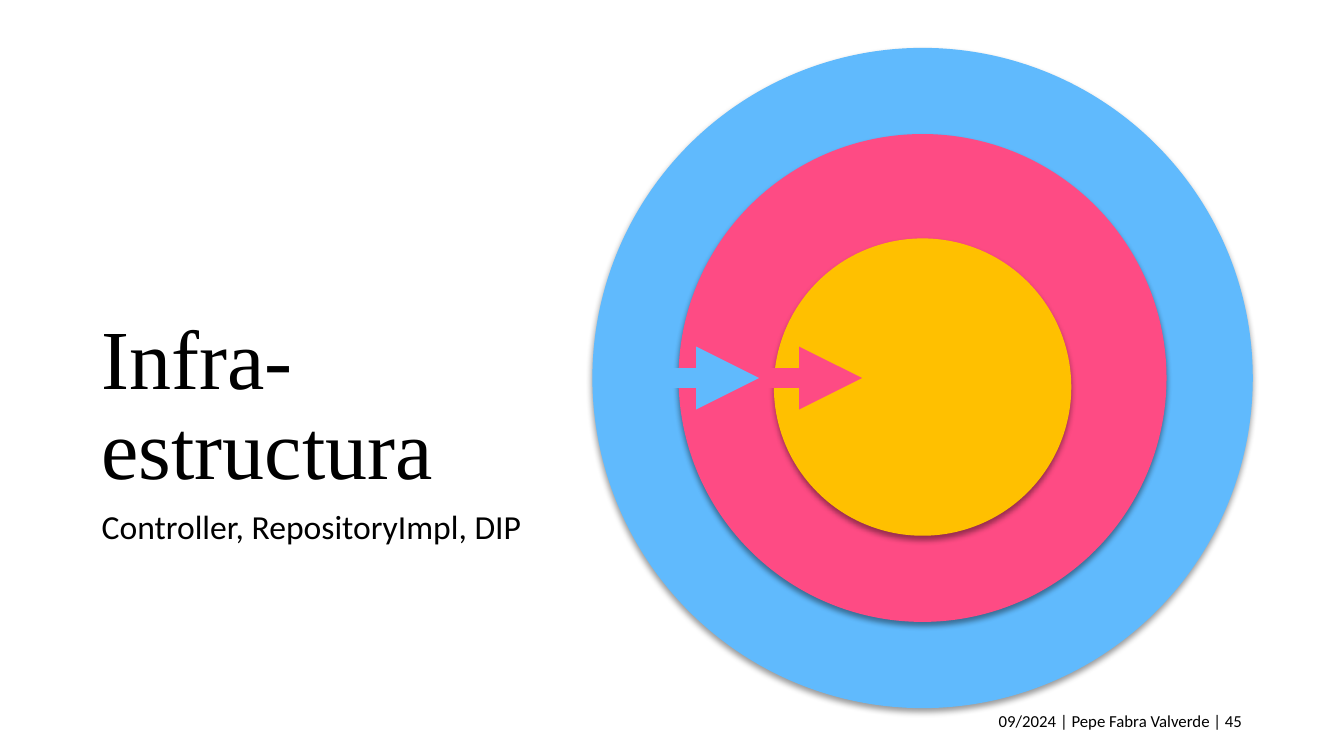
from dataclasses import dataclass

from lxml import etree
from pptx import Presentation
from pptx.dml.color import RGBColor
from pptx.enum.shapes import MSO_CONNECTOR, MSO_SHAPE
from pptx.enum.text import MSO_ANCHOR, PP_ALIGN
from pptx.oxml.ns import qn
from pptx.util import Inches, Pt

OVAL = MSO_SHAPE.OVAL
STRAIGHT = MSO_CONNECTOR.STRAIGHT
TOP, MIDDLE, BOTTOM = MSO_ANCHOR.TOP, MSO_ANCHOR.MIDDLE, MSO_ANCHOR.BOTTOM
LEFT, RIGHT = PP_ALIGN.LEFT, PP_ALIGN.RIGHT


@dataclass(frozen=True)
class Theme:
    text: str = "000000"
    infrastructure: str = "60BAFD"
    application: str = "FE4B84"
    domain: str = "FFC000"
    shadow: str = "000000"
    title_font: str = "Times New Roman"
    body_font: str = "Calibri"
    title_size: int = 60
    body_size: int = 24
    footer_size: int = 12
    arrow_width: int = 15


class SlideBuilder:
    def __init__(self, slide, theme):
        self.slide = slide
        self.theme = theme

    def text(self, text, left, top, width, height, size, font,
             anchor=TOP, align=LEFT, line_spacing=1.0, space_before=0):
        box = self.slide.shapes.add_textbox(
            Inches(left), Inches(top), Inches(width), Inches(height))
        tf = box.text_frame
        tf.word_wrap = True
        tf.vertical_anchor = anchor
        p = tf.paragraphs[0]
        p.text = text
        p.alignment = align
        p.line_spacing = line_spacing
        p.space_before = Pt(space_before)
        p.font.size = Pt(size)
        p.font.name = font
        p.font.color.rgb = RGBColor.from_string(self.theme.text)

    def circle(self, center_x, center_y, diameter, color):
        sp = self.slide.shapes.add_shape(
            OVAL, Inches(center_x - diameter / 2), Inches(center_y - diameter / 2),
            Inches(diameter), Inches(diameter))
        sp.fill.solid()
        sp.fill.fore_color.rgb = RGBColor.from_string(color)
        sp.line.fill.background()
        self.drop_shadow(sp)

    def drop_shadow(self, sp):
        sp.shadow.inherit = False
        effects = sp._element.spPr.find(qn("a:effectLst"))
        shadow = etree.SubElement(
            effects, qn("a:outerShdw"), blurRad=str(Pt(4)), dist=str(Pt(3)),
            dir="5400000", algn="t", rotWithShape="0")
        color = etree.SubElement(shadow, qn("a:srgbClr"), val=self.theme.shadow)
        etree.SubElement(color, qn("a:alpha"), val="40000")

    def arrow(self, start_x, end_x, y, color):
        line = self.slide.shapes.add_connector(
            STRAIGHT, Inches(start_x), Inches(y), Inches(end_x), Inches(y))
        line.line.color.rgb = RGBColor.from_string(color)
        line.line.width = Pt(self.theme.arrow_width)
        etree.SubElement(line.line._get_or_add_ln(), qn("a:tailEnd"), type="triangle")
        etree.SubElement(line._element.spPr, qn("a:effectLst"))


def main():
    prs = Presentation()
    prs.slide_width, prs.slide_height = Inches(13.33), Inches(7.5)
    theme = Theme()
    s = SlideBuilder(prs.slides.add_slide(prs.slide_layouts[6]), theme)

    s.text("Infra-estructura", 0.91, 1.87, 5.3, 3.12, theme.title_size,
           theme.title_font, anchor=BOTTOM, line_spacing=0.9)
    s.text("Controller, RepositoryImpl, DIP", 0.91, 5.02, 11.5, 1.64,
           theme.body_size, theme.body_font, line_spacing=0.9, space_before=10)

    for center_y, diameter, color in (
        (3.75, 6.55, theme.infrastructure),
        (3.75, 4.84, theme.application),
        (3.84, 2.95, theme.domain),
    ):
        s.circle(9.15, center_y, diameter, color)

    arrow_length = 1.02
    for i, color in enumerate((theme.infrastructure, theme.application)):
        start_x = 6.51 + i * arrow_length
        s.arrow(start_x, start_x + arrow_length, 3.75, color)

    s.text("09/2024 | Pepe Fabra Valverde | 45", 9.42, 6.95, 3, 0.4,
           theme.footer_size, theme.body_font, anchor=MIDDLE, align=RIGHT)
    prs.save("out.pptx")


if __name__ == "__main__":
    main()
